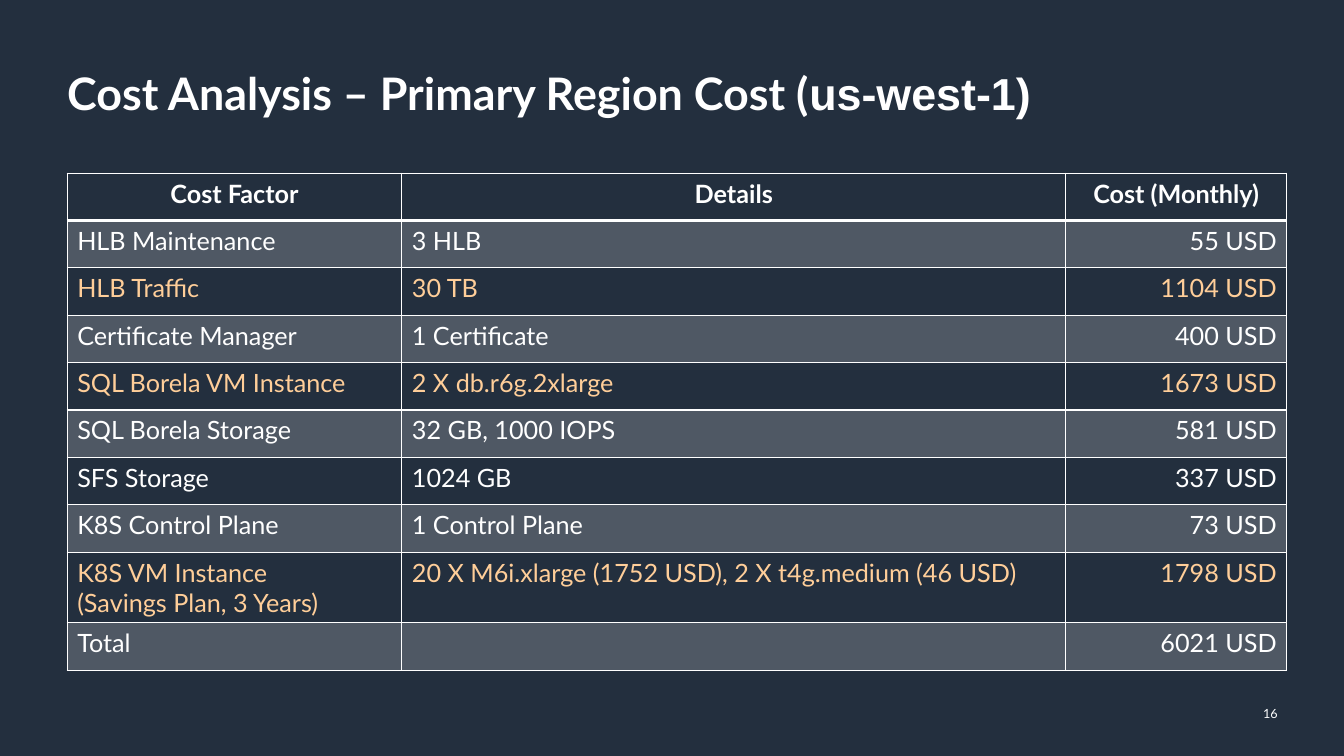
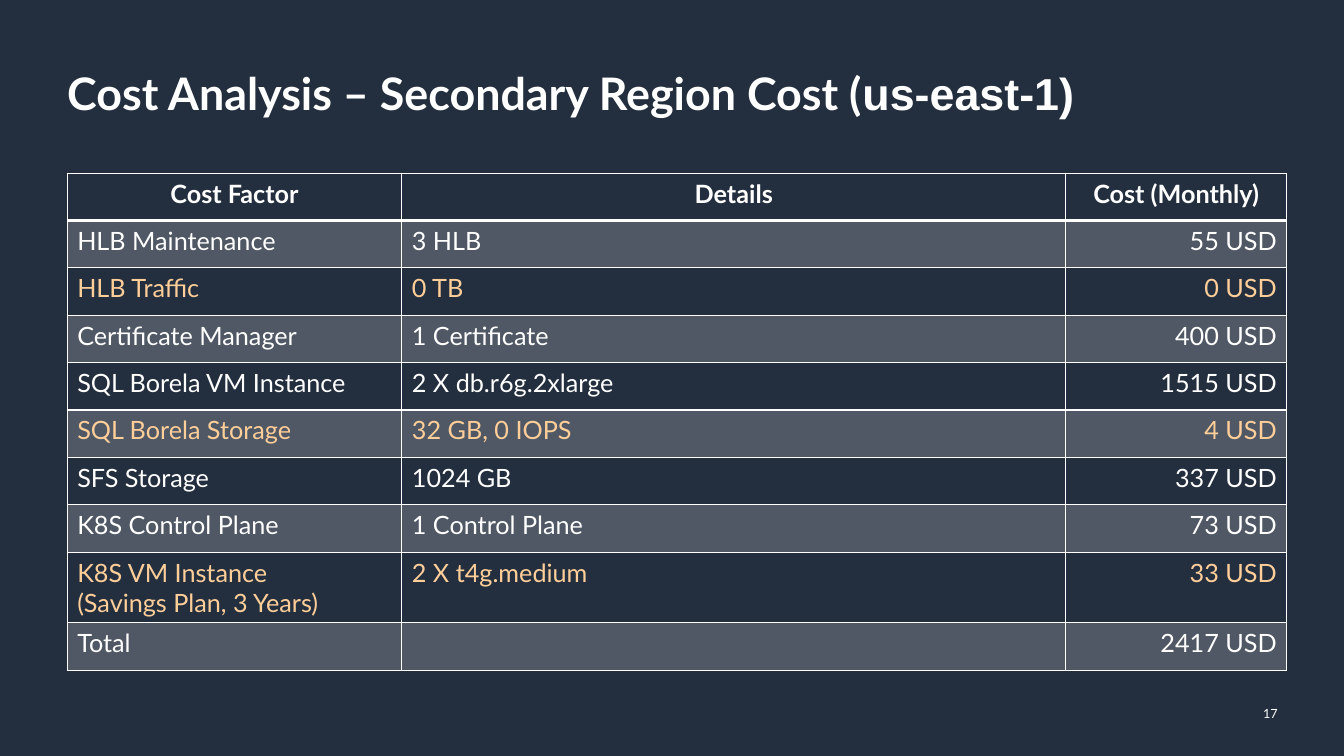
from lxml.etree import SubElement
from pptx import Presentation
from pptx.dml.color import RGBColor
from pptx.enum.text import MSO_ANCHOR as Anchor, PP_ALIGN as Align
from pptx.oxml.ns import qn
from pptx.util import Inches, Pt

FACTORS = [
    "HLB Maintenance", "HLB Traffic", "Certificate Manager",
    "SQL Borela VM Instance", "SQL Borela Storage", "SFS Storage",
    "K8S Control Plane", "K8S VM Instance\n(Savings Plan, 3 Years)", "Total",
]
HEADINGS = ["Cost Factor", "Details", "Cost (Monthly)"]
REGIONS = [
    {
        "title": "Cost Analysis – Primary Region Cost (",
        "region": "us-west-1)",
        "number": 16,
        "details": ["3 HLB", "30 TB", "1 Certificate", "2 X db.r6g.2xlarge",
                    "32 GB, 1000 IOPS", "1024 GB", "1 Control Plane",
                    "20 X M6i.xlarge (1752 USD), 2 X t4g.medium (46 USD)", ""],
        "costs": [55, 1104, 400, 1673, 581, 337, 73, 1798, 6021],
        "highlights": {2, 4, 8},
    },
    {
        "title": "Cost Analysis – Secondary Region Cost (",
        "region": "us-east-1)",
        "number": 17,
        "details": ["3 HLB", "0 TB", "1 Certificate", "2 X db.r6g.2xlarge",
                    "32 GB, 0 IOPS", "1024 GB", "1 Control Plane",
                    "2 X t4g.medium", ""],
        "costs": [55, 0, 400, 1515, 4, 337, 73, 33, 2417],
        "highlights": {2, 5, 8},
    },
]


def rgb(code):
    return RGBColor.from_string(code)


class CostDeck:
    """Hold the shared style and current slide; lengths are percentages of the slide."""

    PAPER, INK, ACCENT = "232F3E", "FFFFFF", "FFCE99"
    FONT, REGION_FONT = "Lato", "Arial"
    LEFT = 5
    COLUMNS = [24.9, 49.4, 16.45]
    ROW = 6.27
    ALIGNMENTS = [Align.LEFT, Align.LEFT, Align.RIGHT]

    def __init__(self):
        self.deck = Presentation()
        self.deck.slide_width, self.deck.slide_height = Inches(13.33), Inches(7.5)

    def across(self, share):
        return round(self.deck.slide_width * share / 100)

    def down(self, share):
        return round(self.deck.slide_height * share / 100)

    def area(self, left, top, width, height):
        return self.across(left), self.down(top), self.across(width), self.down(height)

    def new_slide(self):
        self.slide = self.deck.slides.add_slide(self.deck.slide_layouts[6])
        background = self.slide.background.fill
        background.solid()
        background.fore_color.rgb = rgb(self.PAPER)

    def style(self, run, size, color=INK, bold=False, face=FONT):
        run.font.name, run.font.size, run.font.bold = face, Pt(size), bold
        run.font.color.rgb = rgb(color)

    def title(self, text, region):
        frame = self.slide.shapes.add_textbox(*self.area(self.LEFT, 8.8, 94, 7.9)).text_frame
        frame.word_wrap = True
        frame.margin_left = frame.margin_right = 0
        heading = frame.paragraphs[0]
        heading.line_spacing = 0.9
        for words, face in ((text, self.FONT), (region, self.REGION_FONT)):
            run = heading.add_run()
            run.text = words
            self.style(run, 32, bold=True, face=face)

    def page_number(self, number):
        frame = self.slide.shapes.add_textbox(*self.area(73.3, 91.7, 22.5, 5.3)).text_frame
        frame.word_wrap = True
        frame.vertical_anchor = Anchor.MIDDLE
        frame.text = str(number)
        frame.paragraphs[0].alignment = Align.RIGHT
        self.style(frame.paragraphs[0].runs[0], 9)

    def borders(self, cell, top, bottom):
        properties = cell._tc.get_or_add_tcPr()
        for side, width in (("L", 1), ("R", 1), ("T", top), ("B", bottom)):
            line = SubElement(properties, qn(f"a:ln{side}"), w=str(Pt(width)))
            fill = SubElement(line, qn("a:solidFill"))
            SubElement(fill, qn("a:srgbClr"), val=self.INK)

    def shade(self, cell, banded):
        if not banded:
            cell.fill.background()
            return
        cell.fill.solid()
        cell.fill.fore_color.rgb = rgb(self.INK)
        tint = cell._tc.tcPr.find(f"{qn('a:solidFill')}/{qn('a:srgbClr')}")
        SubElement(tint, qn("a:alpha"), val="20000")

    def cost_table(self, rows, highlights):
        place = self.area(self.LEFT, 22.9, sum(self.COLUMNS), self.ROW * len(rows))
        table = self.slide.shapes.add_table(len(rows), len(self.COLUMNS), *place).table
        for column, share in zip(table.columns, self.COLUMNS):
            column.width = self.across(share)
        for index, (row, texts) in enumerate(zip(table.rows, rows)):
            row.height = self.down(self.ROW)
            header = index == 0
            color = self.ACCENT if index in highlights else self.INK
            for cell, text, alignment in zip(row.cells, texts, self.ALIGNMENTS):
                self.borders(cell, 2 if index == 1 else 1, 2 if header else 1)
                self.shade(cell, index % 2 == 1)
                cell.text_frame.text = text
                for paragraph in cell.text_frame.paragraphs:
                    paragraph.alignment = Align.CENTER if header else alignment
                    for run in paragraph.runs:
                        self.style(run, 18, color, header)


def main():
    costs = CostDeck()
    for region in REGIONS:
        amounts = [f"{cost} USD" for cost in region["costs"]]
        costs.new_slide()
        costs.title(region["title"], region["region"])
        costs.page_number(region["number"])
        costs.cost_table([HEADINGS, *zip(FACTORS, region["details"], amounts)],
                         region["highlights"])
    costs.deck.save("out.pptx")


if __name__ == "__main__":
    main()
